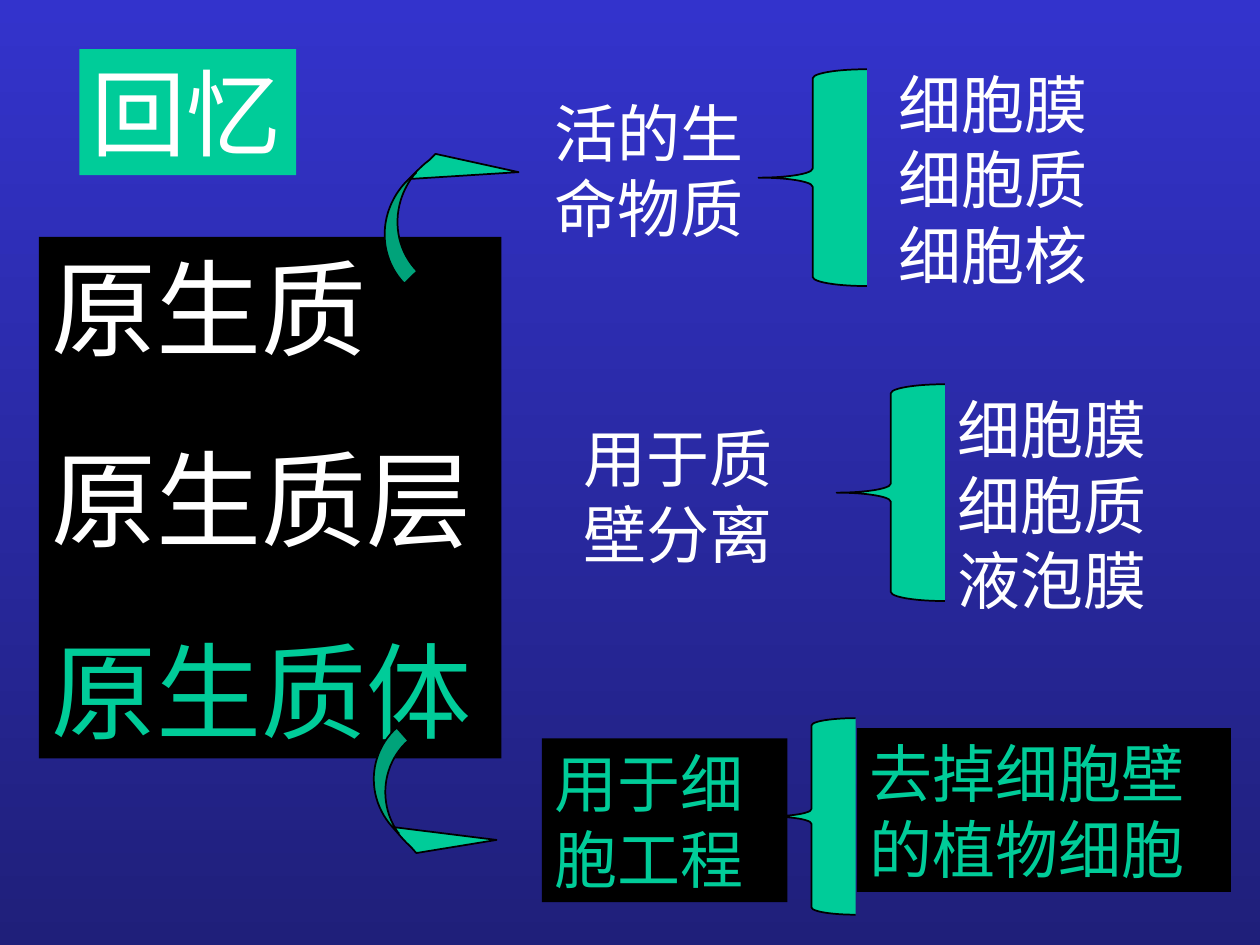
import pptx
import pptx.dml.color
import pptx.enum.shapes
import pptx.enum.text
import pptx.util
from dataclasses import dataclass

Inches = pptx.util.Inches
Pt = pptx.util.Pt
RGB = pptx.dml.color.RGBColor.from_string
Preset = pptx.enum.shapes.MSO_SHAPE


@dataclass(frozen=True)
class Theme:
    font: str = "Times New Roman"
    sky: RGB = RGB("3333CC")
    night: RGB = RGB("1F1F7A")
    green: RGB = RGB("00CC99")
    black: RGB = RGB("000000")
    white: RGB = RGB("FFFFFF")
    heading: int = 54
    term: int = 60
    detail: int = 36


THEME = Theme()


def add_preset(slide, preset, box, fill, line=None):
    shape = slide.shapes.add_shape(preset, *(Inches(length) for length in box))
    shape.shadow.inherit = False
    shape.fill.solid()
    shape.fill.fore_color.rgb = fill
    if line is None:
        shape.line.fill.background()
    else:
        shape.line.color.rgb = line
        shape.line.width = Pt(1)
    return shape


def add_label(slide, box, lines, size, colors, fill=None):
    if fill is None:
        label = slide.shapes.add_textbox(*(Inches(length) for length in box))
    else:
        label = add_preset(slide, Preset.RECTANGLE, box, fill)
    frame = label.text_frame
    frame.word_wrap = True
    frame.auto_size = pptx.enum.text.MSO_AUTO_SIZE.SHAPE_TO_FIT_TEXT
    frame.vertical_anchor = pptx.enum.text.MSO_ANCHOR.TOP
    frame.text = "\n".join(lines)
    for index, (paragraph, color) in enumerate(zip(frame.paragraphs, colors)):
        paragraph.alignment = pptx.enum.text.PP_ALIGN.LEFT
        paragraph.space_before = Pt(37.5 if index else 0)
        paragraph.font.name = THEME.font
        paragraph.font.size = Pt(size)
        paragraph.font.color.rgb = color


def add_terms(slide, box):
    left, top, width, height = box
    add_label(slide, (left + 0.32, top, 1.72, 1), ["回忆"],
              THEME.heading, [THEME.white], THEME.green)
    add_label(slide, (left, top + 1.49, width, height - 1.49),
              ["原生质", "原生质层", "原生质体"], THEME.term,
              [THEME.white, THEME.white, THEME.green], THEME.black)


def add_branch(slide, box, meaning, parts, meaning_top, parts_box, brace_box,
               color=THEME.white, fill=None):
    left, top = box
    parts_left, parts_top, parts_width, parts_height = parts_box
    brace_left, brace_top, brace_width, brace_height = brace_box
    add_label(slide, (left, top + meaning_top, 1.95, 1.3), [meaning],
              THEME.detail, [color], fill)
    add_label(slide, (left + parts_left, top + parts_top, parts_width, parts_height),
              [parts], THEME.detail, [color], fill)
    add_preset(slide, Preset.LEFT_BRACE,
               (left + brace_left, top + brace_top, brace_width, brace_height),
               THEME.green, THEME.black)


def add_curved_arrow(slide, preset, box, rotation):
    arrow = add_preset(slide, preset, box, THEME.green, THEME.black)
    arrow.rotation = rotation
    for index, share in enumerate((0.25, 0.5, 0.99)):
        arrow.adjustments[index] = share


def add_background(slide):
    fill = slide.background.fill
    fill.gradient()
    fill.gradient_angle = 270
    for stop, color, position in zip(fill.gradient_stops,
                                     (THEME.sky, THEME.night), (0, 1)):
        stop.color.rgb = color
        stop.position = position


def main():
    deck = pptx.Presentation()
    deck.slide_width, deck.slide_height = Inches(10), Inches(7.5)
    slide = deck.slides.add_slide(deck.slide_layouts[6])
    add_background(slide)
    add_terms(slide, (0.31, 0.39, 3.67, 5.63))
    add_branch(slide, (4.53, 3.05), "用于质壁分离", "细胞膜细胞质液泡膜",
               0.23, (2.97, 0, 1.95, 1.9), (2.11, 0, 0.86, 1.72))
    add_branch(slide, (4.3, 0.47), "活的生命物质", "细胞膜细胞质细胞核",
               0.23, (2.73, 0, 1.95, 1.9), (1.72, 0.08, 0.86, 1.72))
    add_curved_arrow(slide, Preset.CURVED_DOWN_ARROW,
                     (2.81, 1.27, 1.41, 0.57), 315.7)
    add_branch(slide, (4.3, 5.7), "用于细胞工程", "去掉细胞壁的植物细胞",
               0.16, (2.5, 0.08, 2.97, 1.3), (1.79, 0, 0.7, 1.56),
               THEME.green, THEME.black)
    add_curved_arrow(slide, Preset.CURVED_RIGHT_ARROW,
                     (3.11, 5.79, 0.55, 1.33), 318.4)
    deck.save("out.pptx")


if __name__ == "__main__":
    main()
